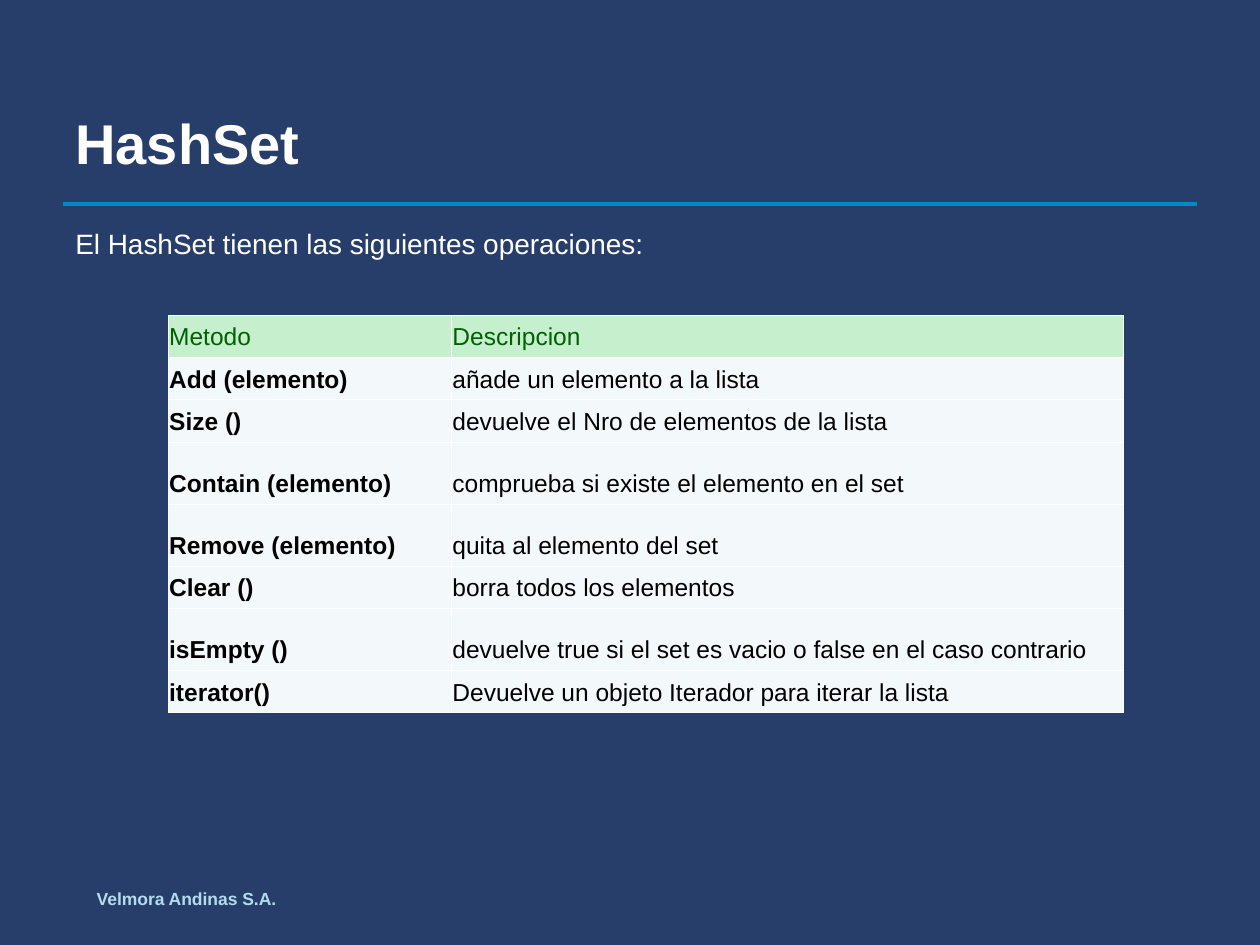
from lxml import etree
from pptx import Presentation
from pptx.dml.color import RGBColor
from pptx.enum.shapes import MSO_CONNECTOR
from pptx.enum.text import MSO_ANCHOR, MSO_AUTO_SIZE
from pptx.oxml.ns import qn
from pptx.util import Cm, Pt

NAVY = RGBColor(0x28, 0x3E, 0x6A)
BLUE = RGBColor(0x00, 0x89, 0xC4)
PALE_BLUE = RGBColor(0xB3, 0xDC, 0xED)
WHITE = RGBColor(0xFF, 0xFF, 0xFF)
BLACK = RGBColor(0x00, 0x00, 0x00)
GREEN = RGBColor(0x00, 0x61, 0x00)
PALE_GREEN = RGBColor(0xC6, 0xEF, 0xCE)
ICE = RGBColor(0xF3, 0xF9, 0xFA)

LOW, TALL = 0.64, 1.25
COLUMN_WIDTHS = (5.71, 13.54)
OPERATIONS = [
    (LOW, "Metodo", "Descripcion"),
    (LOW, "Add (elemento)", "añade un elemento a la lista"),
    (LOW, "Size ()", "devuelve el Nro de elementos de la lista"),
    (TALL, "Contain (elemento)", "comprueba si existe el elemento en el set"),
    (TALL, "Remove (elemento)", "quita al elemento del set"),
    (LOW, "Clear ()", "borra todos los elementos"),
    (TALL, "isEmpty ()", "devuelve true si el set es vacio o false en el caso contrario"),
    (LOW, "iterator()", "Devuelve un objeto Iterador para iterar la lista"),
]


def set_attributes(target, values):
    for name, value in values.items():
        setattr(target, name, value)


def write_text(frame, text, size, color, bold=False):
    paragraph = frame.paragraphs[0]
    run = paragraph.add_run()
    run.text = text
    set_attributes(run.font, {"name": "Arial", "size": Pt(size), "bold": bold})
    run.font.color.rgb = color
    return paragraph


def add_text(slide, box, text, size, color, bold=False, **frame_format):
    frame = slide.shapes.add_textbox(*map(Cm, box)).text_frame
    set_attributes(frame, {"word_wrap": True, **frame_format})
    return write_text(frame, text, size, color, bold)


def add_rule(slide, left, right, y):
    rule = slide.shapes.add_connector(
        MSO_CONNECTOR.STRAIGHT, Cm(left), Cm(y), Cm(right), Cm(y))
    rule.line.color.rgb = BLUE
    rule.line.width = Pt(2.25)
    etree.SubElement(rule._element.spPr, qn("a:effectLst"))


def add_borders(cell, color, width):
    """Line all four sides; borders must precede the fill in the cell XML."""
    properties = cell._tc.get_or_add_tcPr()
    for index, side in enumerate(("lnL", "lnR", "lnT", "lnB")):
        border = etree.Element(qn(f"a:{side}"), w=str(Pt(width)))
        fill = etree.SubElement(border, qn("a:solidFill"))
        etree.SubElement(fill, qn("a:srgbClr"), val=str(color))
        properties.insert(index, border)


def format_cell(cell, text, fill, color, bold):
    set_attributes(cell, {
        "vertical_anchor": MSO_ANCHOR.BOTTOM,
        "margin_left": Cm(0.02), "margin_right": Cm(0.02),
        "margin_top": Cm(0.13), "margin_bottom": Cm(0.13),
    })
    cell.fill.solid()
    cell.fill.fore_color.rgb = fill
    add_borders(cell, WHITE, 0.45)
    write_text(cell.text_frame, text, 14, color, bold)


def add_operations_table(slide, left, top):
    height = sum(row[0] for row in OPERATIONS)
    table = slide.shapes.add_table(
        len(OPERATIONS), len(COLUMN_WIDTHS),
        Cm(left), Cm(top), Cm(sum(COLUMN_WIDTHS)), Cm(height)).table
    for column, width in zip(table.columns, COLUMN_WIDTHS):
        column.width = Cm(width)
    for row_index, (row_height, *texts) in enumerate(OPERATIONS):
        table.rows[row_index].height = Cm(row_height)
        header = row_index == 0
        fill, color = (PALE_GREEN, GREEN) if header else (ICE, BLACK)
        for column_index, text in enumerate(texts):
            bold = not header and column_index == 0
            format_cell(table.cell(row_index, column_index), text, fill, color, bold)


def main():
    presentation = Presentation()
    set_attributes(presentation, {"slide_width": Cm(25.4), "slide_height": Cm(19.05)})
    slide = presentation.slides.add_slide(presentation.slide_layouts[6])
    slide.background.fill.solid()
    slide.background.fill.fore_color.rgb = NAVY

    add_rule(slide, 1.27, 24.13, 4.11)
    add_text(slide, (1.7, 17.78, 15.04, 0.89), "Velmora Andinas S.A.", 10, PALE_BLUE, bold=True)
    add_text(slide, (1.27, 1.27, 22.86, 3.18), "HashSet", 32, WHITE, bold=True,
             vertical_anchor=MSO_ANCHOR.MIDDLE)
    introduction = add_text(
        slide, (1.27, 4.45, 22.86, 0.94), "El HashSet tienen las siguientes operaciones:",
        16, WHITE, auto_size=MSO_AUTO_SIZE.SHAPE_TO_FIT_TEXT)
    introduction.space_before = Pt(4)
    add_operations_table(slide, 3.39, 6.35)

    presentation.save("out.pptx")


if __name__ == "__main__":
    main()
